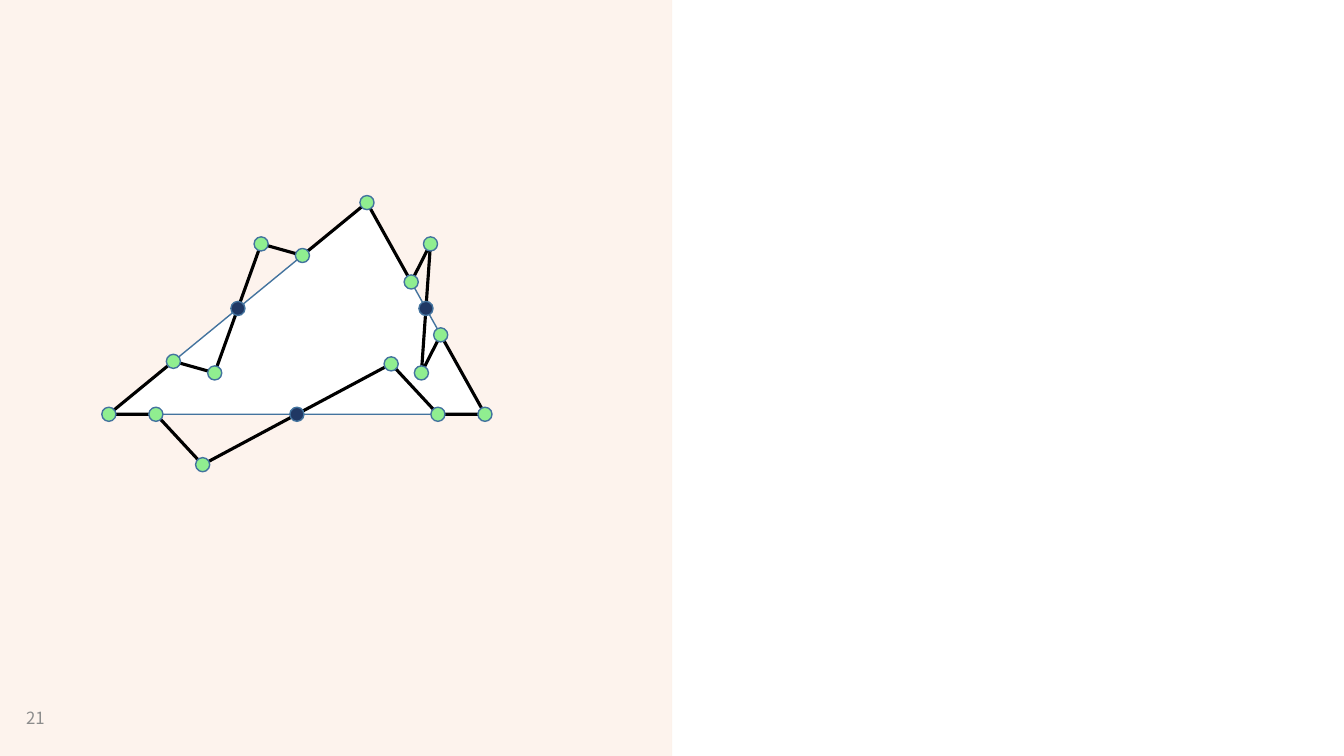
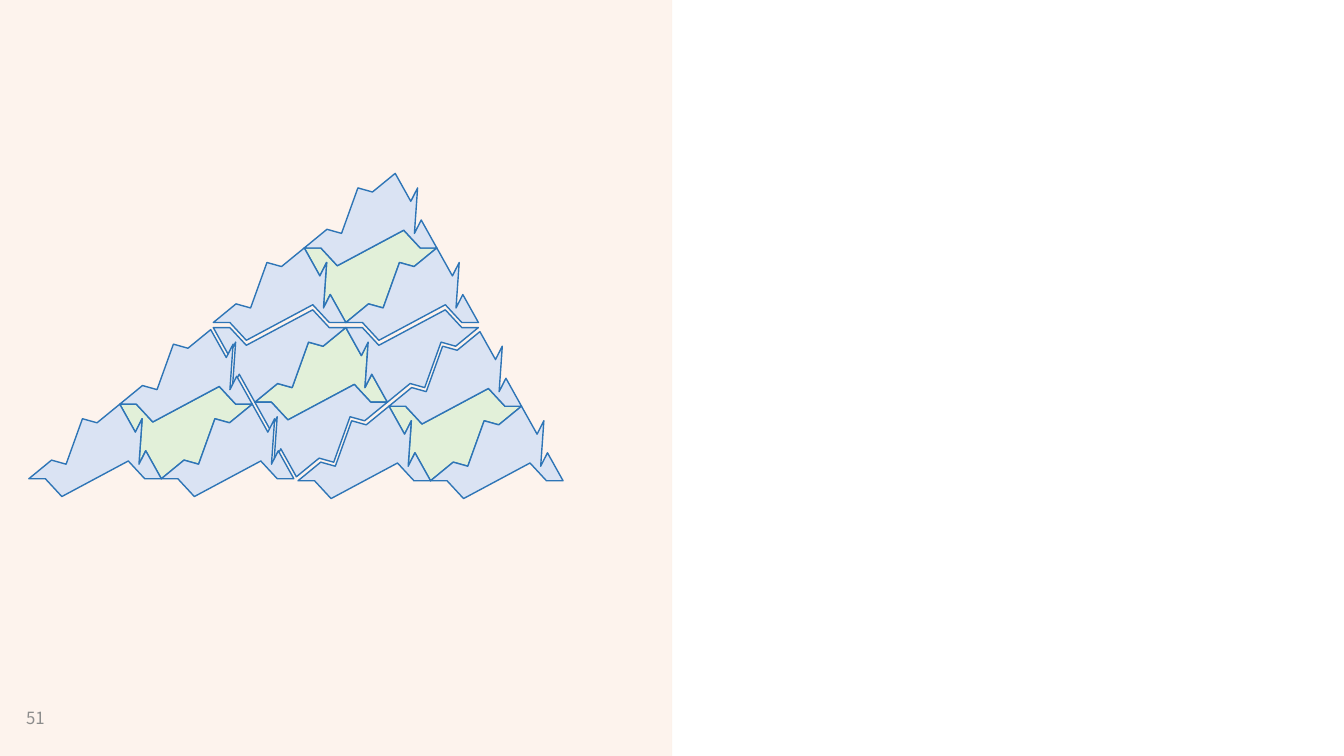
"""Build two slides on a triangle with reshaped sides and the tiling made from it."""
from dataclasses import dataclass

from lxml.etree import SubElement
from pptx import Presentation
from pptx.dml.color import RGBColor
from pptx.enum.shapes import MSO_CONNECTOR, MSO_SHAPE
from pptx.enum.text import MSO_ANCHOR
from pptx.oxml.ns import qn
from pptx.util import Inches, Pt


@dataclass(frozen=True)
class Theme:
    band: str = "F4B183"
    divider: str = "FBE5D6"
    paper: str = "FFFFFF"
    number: str = "8C8C8C"
    outline: str = "43739E"
    side: str = "000000"
    corner: str = "90EE90"
    midpoint: str = "203864"
    tile_edge: str = "2E75B6"
    tile: str = "DAE3F3"
    center_tile: str = "E2F0D9"
    font: str = "Noto Sans CJK SC"
    number_size: float = 12
    thin: float = 1
    thick: float = 2.25
    hairline: float = 0.25
    band_alpha: int = 14
    divider_alpha: int = 50


THEME = Theme()
WIDTH, HEIGHT = 13.33, 7.5
NUMBERS = ("21", "51")
APEX, LEFT, RIGHT = (2.56, 0), (0, 2.1), (3.73, 2.1)
SIDES = [
    {"ends": (APEX, LEFT), "share": 1 / 4, "bump": (1.51, 0.41)},
    {"ends": (LEFT, RIGHT), "share": 1 / 8, "bump": (0.93, 2.6)},
    {"ends": (APEX, RIGHT), "share": 3 / 8, "bump": (3.19, 0.41)},
]
TRIANGLE_ORIGIN = (1.08, 2.01)
DOT = 0.14
GROUP_HEIGHT = 1.48
GROUPS = [
    {"apex": (2.94, 4.73), "direction": -1},
    {"apex": (4.76, 3.29), "direction": 1},
    {"apex": (3.92, 1.72), "direction": 1},
    {"apex": (2.09, 3.27), "direction": 1},
]


def rgb(color):
    return RGBColor.from_string(color)


def set_alpha(element, percent):
    for color in element.iter(qn("a:srgbClr")):
        SubElement(color, qn("a:alpha"), val=str(percent * 1000))


def style(shape, fill=None, line=None, weight=THEME.thin):
    shape.shadow.inherit = False
    if fill:
        shape.fill.solid()
        shape.fill.fore_color.rgb = rgb(fill)
    else:
        shape.fill.background()
    if line:
        shape.line.color.rgb = rgb(line)
        shape.line.width = Pt(weight)
    else:
        shape.line.fill.background()
    return shape


def box(shapes, kind, left, top, width, height, **look):
    return style(shapes.add_shape(kind, *map(Inches, (left, top, width, height))), **look)


def outline(shapes, points, closed=False, **look):
    start, *rest = [(Inches(x), Inches(y)) for x, y in points]
    builder = shapes.build_freeform(*start)
    builder.add_line_segments(rest, close=closed)
    return style(builder.convert_to_shape(), **look)


def side_points(ends, share, bump):
    (x0, y0), (x1, y1) = ends
    lead = [(x0, y0), (x0 + share * (x1 - x0), y0 + share * (y1 - y0)), bump]
    mirrored = [(x0 + x1 - x, y0 + y1 - y) for x, y in reversed(lead)]
    return lead + [((x0 + x1) / 2, (y0 + y1) / 2)] + mirrored


def place(points, origin, scale=1, base=(0, 0)):
    return [(origin[0] + scale * (x - base[0]), origin[1] + scale * (y - base[1]))
            for x, y in points]


def add_backdrop(slide):
    shapes, layout = slide.shapes, slide.slide_layout
    for placeholder in list(layout.placeholders):
        layout.shapes.element.remove(placeholder.element)
    band = box(shapes, MSO_SHAPE.RECTANGLE, 0, 0, WIDTH / 2, HEIGHT, fill=THEME.band)
    set_alpha(band.element, THEME.band_alpha)
    x = Inches(WIDTH / 2)
    divider = shapes.add_connector(MSO_CONNECTOR.STRAIGHT, x, Inches(HEIGHT), x, 0)
    divider.line.color.rgb = rgb(THEME.divider)
    divider.line.width = Pt(THEME.hairline)
    set_alpha(divider.element, THEME.divider_alpha)
    SubElement(divider.element.spPr, qn("a:effectLst"))
    for part in (band, divider):
        layout.shapes.element.append(part.element)


def add_number(slide, number):
    frame = slide.shapes.add_textbox(*map(Inches, (0.16, 6.93, 0.67, 0.39))).text_frame
    frame.word_wrap = True
    frame.vertical_anchor = MSO_ANCHOR.MIDDLE
    frame.text = number
    font = frame.paragraphs[0].runs[0].font
    for name, value in {"name": THEME.font, "size": Pt(THEME.number_size)}.items():
        setattr(font, name, value)
    font.color.rgb = rgb(THEME.number)


def draw_triangle(shapes):
    triangle = box(shapes, MSO_SHAPE.ISOSCELES_TRIANGLE, *TRIANGLE_ORIGIN, *RIGHT,
                   fill=THEME.paper, line=THEME.outline)
    triangle.adjustments[0] = APEX[0] / RIGHT[0]
    dots = {}
    for side in SIDES:
        points = place(side_points(**side), TRIANGLE_ORIGIN)
        outline(shapes, points, line=THEME.side, weight=THEME.thick)
        dots.update(dict.fromkeys(points, THEME.corner))
        dots[points[len(points) // 2]] = THEME.midpoint
    for (x, y), color in dots.items():
        box(shapes, MSO_SHAPE.OVAL, x - DOT / 2, y - DOT / 2, DOT, DOT,
            fill=color, line=THEME.outline)


def draw_tiling(shapes):
    left, base, right = [side_points(**side) for side in SIDES]
    tile = left + base[1:] + right[-2:0:-1]
    size = GROUP_HEIGHT / (2 * RIGHT[1])
    for group in GROUPS:
        scale = size * group["direction"]
        top = group["apex"]
        lower_left, lower_right = place((LEFT, RIGHT), top, scale, APEX)
        center = tuple(b + c - a for a, b, c in zip(top, lower_left, lower_right))
        center = (center[0], top[1] + 2 * scale * RIGHT[1])
        members = shapes.add_group_shape().shapes
        outline(members, place(tile, center, -scale, APEX), closed=True,
                fill=THEME.center_tile, line=THEME.tile_edge)
        for apex in (lower_left, top, lower_right):
            outline(members, place(tile, apex, scale, APEX), closed=True,
                    fill=THEME.tile, line=THEME.tile_edge)


def main():
    deck = Presentation()
    deck.slide_width, deck.slide_height = Inches(WIDTH), Inches(HEIGHT)
    slides = [deck.slides.add_slide(deck.slide_layouts[6]) for _ in NUMBERS]
    add_backdrop(slides[0])
    for slide, number, draw in zip(slides, NUMBERS, (draw_triangle, draw_tiling)):
        add_number(slide, number)
        draw(slide.shapes)
    deck.save("out.pptx")


if __name__ == "__main__":
    main()
